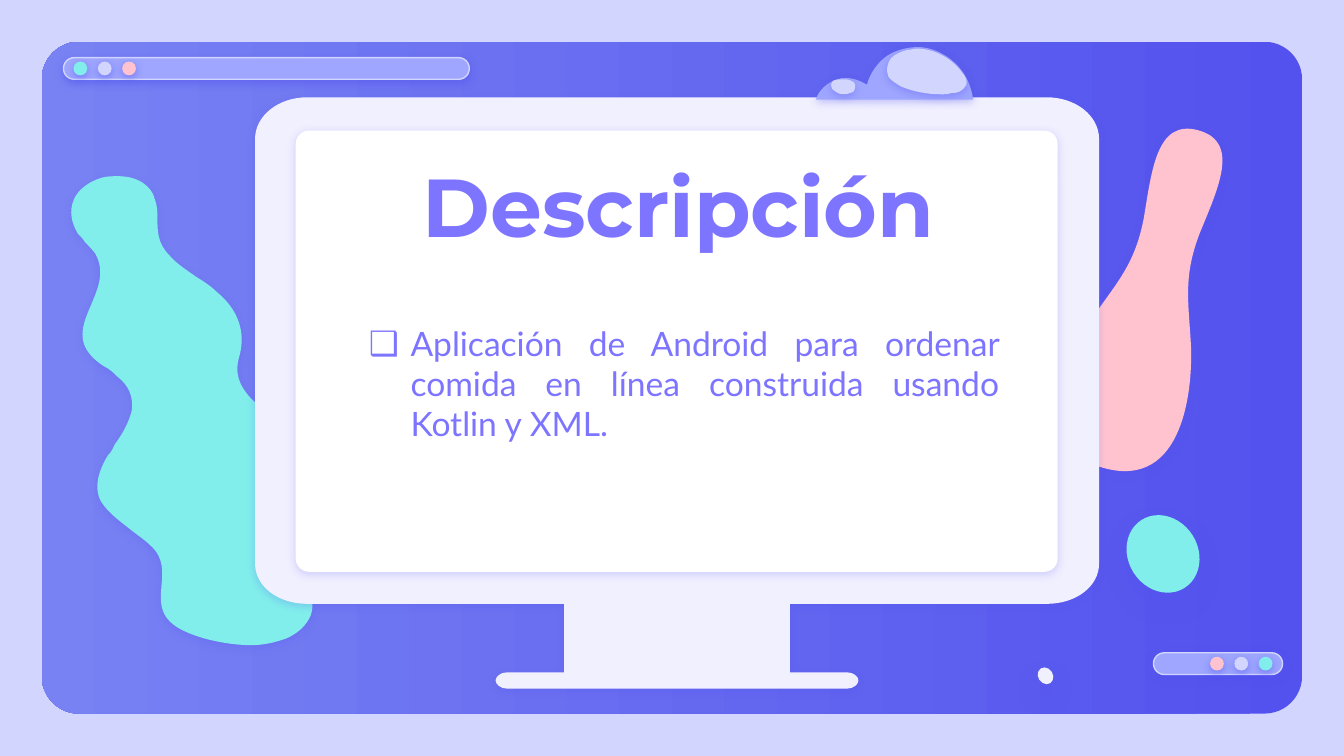
from dataclasses import dataclass
from lxml.etree import SubElement as Sub
from pptx import Presentation
from pptx.dml.color import RGBColor as Rgb
from pptx.enum.shapes import MSO_SHAPE as Kind
from pptx.enum.text import MSO_ANCHOR as Anchor, MSO_AUTO_SIZE as Fit, PP_ALIGN as Align
from pptx.oxml.ns import qn
from pptx.util import Cm, Pt


@dataclass(frozen=True)
class Theme:
    back: str = "D2D6FF"
    deep: str = "5352EE"
    blue: str = "7882F3"
    bar: str = "9EA6FF"
    teal: str = "81EEEB"
    pink: str = "FFC3D0"
    pale: str = "F1F0FF"
    white: str = "FFFFFF"
    ink: str = "7D74FF"
    head: str = "Montserrat"
    body: str = "Lato"
    big: int = 44
    text: int = 18


T = Theme()
UNIT = Cm(0.0254)  # outline grid

# Outlines on the grid: a start, then lines (2 numbers) and curves (6 numbers)
WAVE = [
    (37, 0), (52, 0, 62, 8, 64, 17), (66, 22, 66, 27, 66, 31),
    (66, 41, 66, 50, 75, 59), (80, 65, 88, 70, 95, 75),
    (100, 78, 106, 82, 110, 86), (126, 99, 132, 116, 127, 134),
    (122, 150, 129, 163, 152, 179), (172, 192, 193, 206, 187, 226),
    (184, 233, 179, 240, 173, 246), (164, 258, 154, 270, 160, 283),
    (162, 287, 166, 291, 169, 295), (171, 297, 173, 299, 175, 301),
    (181, 310, 183, 319, 180, 327), (177, 334, 171, 340, 162, 344),
    (159, 345, 156, 346, 152, 347), (148, 348, 142, 349, 136, 349),
    (120, 349, 100, 345, 87, 339), (67, 330, 68, 318, 69, 305),
    (70, 295, 71, 284, 61, 275), (57, 271, 51, 267, 46, 263),
    (37, 256, 29, 250, 24, 242), (18, 231, 23, 218, 29, 208),
    (31, 206, 33, 203, 34, 200), (40, 192, 45, 183, 47, 174),
    (48, 164, 45, 156, 36, 149), (34, 147, 32, 145, 29, 143),
    (25, 141, 21, 138, 18, 135), (5, 122, 11, 109, 17, 95),
    (22, 83, 27, 71, 20, 58), (18, 55, 15, 52, 12, 49),
    (11, 47, 9, 45, 7, 43), (2, 35, 0, 26, 4, 17),
    (7, 10, 15, 4, 25, 1), (29, 0, 33, 0, 37, 0)]
CLOUD = [
    (76, 0), (67, 0, 57, 3, 51, 8), (45, 13, 40, 20, 38, 28),
    (33, 25, 28, 23, 22, 23), (20, 23, 18, 23, 16, 24),
    (9, 26, 2, 32, 0, 39), (117, 39), (115, 24, 107, 12, 94, 5),
    (89, 2, 82, 0, 76, 0)]
SHINE = [
    (23, 0), (21, 0, 18, 1, 16, 1), (12, 2, 7, 4, 4, 7),
    (1, 11, 0, 16, 2, 21), (4, 24, 8, 26, 11, 28),
    (20, 32, 31, 34, 41, 34), (44, 34, 46, 34, 49, 33),
    (51, 33, 53, 33, 55, 32), (57, 31, 59, 29, 60, 27),
    (61, 24, 59, 20, 57, 18), (49, 7, 36, 0, 23, 0)]
SPOT = [
    (9, 0), (6, 0, 2, 0, 1, 2), (0, 3, 0, 5, 1, 7), (2, 8, 3, 9, 5, 10),
    (6, 11, 8, 11, 10, 11), (10, 11, 11, 11, 12, 11),
    (13, 11, 14, 11, 15, 10), (16, 10, 18, 9, 18, 7),
    (19, 5, 18, 3, 17, 2), (15, 1, 13, 0, 12, 0), (11, 0, 10, 0, 9, 0)]
# Left halves of symmetric outlines
PIN = [
    (63.5, 0), (31, 0, 38, 38, 42, 74), (45, 108, 36, 125, 26, 154),
    (16, 183, 0, 261, 63.5, 261)]
DESK = [
    (39, 0), (17, 0, 0, 14, 0, 31), (0, 347), (0, 364, 17, 377, 39, 377),
    (230, 377), (230, 428), (187, 428), (183, 428, 179, 431, 179, 434),
    (179, 437, 183, 440, 187, 440)]


def pairs(step):
    return list(zip(step[::2], step[1::2]))


def mirror(half, wide):
    """Complete an outline with its mirrored half."""
    full = list(half)
    x, y = half[-1][-2:]
    if wide - x != x:
        full.append((wide - x, y))
    for prev, step in zip(half[-2::-1], half[:0:-1]):
        back = pairs(step)[-2::-1] + [prev[-2:]]
        full.append(tuple(v for x, y in back for v in (wide - x, y)))
    return full


def paint(shape, fill, shade=None, line=None):
    """Set fill, line and shadow (opacity %, blur pt, distance pt)."""
    shape.fill.solid()
    shape.fill.fore_color.rgb = Rgb.from_string(fill)
    if line:
        shape.line.color.rgb = Rgb.from_string(line)
        shape.line.width = Pt(0.75)
    else:
        shape.line.fill.background()
    shape.shadow.inherit = False
    if shade:
        alpha, blur, dist = shade
        glow = Sub(shape._element.spPr.find(qn("a:effectLst")), qn("a:outerShdw"),
                   blurRad=str(Pt(blur)), dist=str(Pt(dist)), dir="5400000",
                   algn="bl", rotWithShape="0")
        tint = Sub(glow, qn("a:srgbClr"), val=T.deep)
        Sub(tint, qn("a:alpha"), val=str(alpha * 1000))


def form(slide, kind, box, fill, shade=None, line=None, curve=None):
    shape = slide.shapes.add_shape(kind, *map(Cm, box))
    if curve is not None:
        shape.adjustments[0] = curve
    paint(shape, fill, shade, line)
    return shape


def blob(slide, spot, size, steps, fill, alpha):
    """Curved outline; size is on the grid, spot in cm."""
    ends = [step[-2:] for step in steps]
    pen = slide.shapes.build_freeform(*ends[0], scale=UNIT)
    pen.add_line_segments(ends[1:], close=True)
    shape = pen.convert_to_shape()
    shape.left, shape.top = map(Cm, spot)
    shape.width, shape.height = (n * UNIT for n in size)
    # Bend the segments into cubic curves
    track = next(shape._element.iter(qn("a:path")))
    for child in list(track):
        track.remove(child)
    for key, n in zip("wh", size):
        track.set(key, str(n * UNIT))
    for n, step in enumerate(steps):
        name = "moveTo" if n == 0 else "lnTo" if len(step) == 2 else "cubicBezTo"
        node = Sub(track, qn("a:" + name))
        for x, y in pairs(step):
            Sub(node, qn("a:pt"), x=str(int(x * UNIT)), y=str(int(y * UNIT)))
    Sub(track, qn("a:close"))
    paint(shape, fill, (alpha, 4.5, 1.5))
    return shape


def write(shape, words, font, size, align, anchor, bold=False):
    frame = shape.text_frame
    frame.word_wrap, frame.auto_size = True, Fit.NONE
    frame.vertical_anchor = anchor
    frame.margin_left = frame.margin_right = Cm(0.25)
    frame.margin_top = frame.margin_bottom = Cm(0.25)
    para = frame.paragraphs[0]
    para.alignment = align
    run = para.add_run()
    run.text = words
    run.font.name, run.font.size, run.font.bold = font, Pt(size), bold
    run.font.color.rgb = Rgb.from_string(T.ink)
    return para


def panel(slide, box):
    shape = form(slide, Kind.ROUNDED_RECTANGLE, box, T.deep, curve=0.056)
    shape.fill.gradient()
    shape.fill.gradient_angle = 180
    for stop, tint in zip(shape.fill.gradient_stops, (T.deep, T.blue)):
        stop.color.rgb = Rgb.from_string(tint)


def strip(slide, box, right=False):
    """Window bar with three dots counted from one end."""
    x, y, w, h = box
    shade = (50, 4.5, 1.5)
    form(slide, Kind.ROUNDED_RECTANGLE, box, T.bar, shade, T.back, 0.5)
    size, gap, step = 0.26, 0.19, 0.46
    for n, tint in enumerate((T.teal, T.back, T.pink)):
        off = gap + n * step
        left = x + w - off - size if right else x + off
        form(slide, Kind.OVAL, (left, y + (h - size) / 2, size, size), tint, shade)


def screen(slide, spot):
    """Monitor with title and text."""
    x, y = spot
    blob(slide, spot, (628, 440), mirror(DESK, 628), T.pale, 22)
    form(slide, Kind.ROUNDED_RECTANGLE, (x + 0.77, y + 0.63, 14.4, 8.34), T.white,
         (22, 4.5, 1.5), curve=0.03)
    title = slide.shapes.title
    slide.shapes._spTree.append(title._element)  # bring to front
    title.left, title.top, title.width, title.height = map(
        Cm, (x + 0.59, y + 0.85, 14.83, 3.07))
    write(title, "Descripción", T.head, T.big, Align.CENTER, Anchor.TOP, True)
    note = slide.shapes.add_textbox(*map(Cm, (x + 1.9, y + 2.6, 12.42, 5.61)))
    para = write(note, "Aplicación de Android para ordenar comida en línea "
                 "construida usando Kotlin y XML.", T.body, T.text,
                 Align.JUSTIFY, Anchor.MIDDLE)
    prop = para._p.get_or_add_pPr()
    prop.set("marL", str(Cm(0.79)))
    prop.set("indent", str(-Cm(0.79)))
    Sub(Sub(prop, qn("a:buClr")), qn("a:srgbClr"), val=T.ink)
    Sub(prop, qn("a:buFont"), typeface=T.body)
    Sub(prop, qn("a:buChar"), char="❑")


def cloud(slide, spot):
    x, y = spot
    blob(slide, spot, (117, 39), CLOUD, T.bar, 31)
    blob(slide, (x + 1.32, y + 0.03), (61, 33), SHINE, T.back, 31)
    blob(slide, (x + 0.28, y + 0.61), (19, 11), SPOT, T.back, 31)


def drops(slide, spot):
    x, y = spot
    for box, tint in (((x + 1.7, y, 1.32, 1.52), T.teal),
                      ((x, y + 2.9, 0.28, 0.33), T.pale)):
        form(slide, Kind.OVAL, box, tint, (38, 12.4, 6.8)).rotation = 327.8


def main():
    deck = Presentation()
    deck.slide_width, deck.slide_height = Cm(25.4), Cm(14.29)
    slide = deck.slides.add_slide(deck.slide_layouts[5])
    slide.background.fill.solid()
    slide.background.fill.fore_color.rgb = Rgb.from_string(T.back)
    panel(slide, (0.79, 0.79, 23.82, 12.7))
    strip(slide, (1.2, 1.09, 7.67, 0.41))
    strip(slide, (21.8, 12.34, 2.44, 0.41), right=True)
    blob(slide, (20.14, 2.34), (127, 261), mirror(PIN, 127), T.pink, 31).rotation = 15.8
    blob(slide, (1.3, 3.33), (193, 349), WAVE, T.teal, 18)
    screen(slide, (4.82, 1.84))
    cloud(slide, (15.42, 0.89))
    drops(slide, (19.62, 9.71))
    deck.save("out.pptx")


if __name__ == "__main__":
    main()
